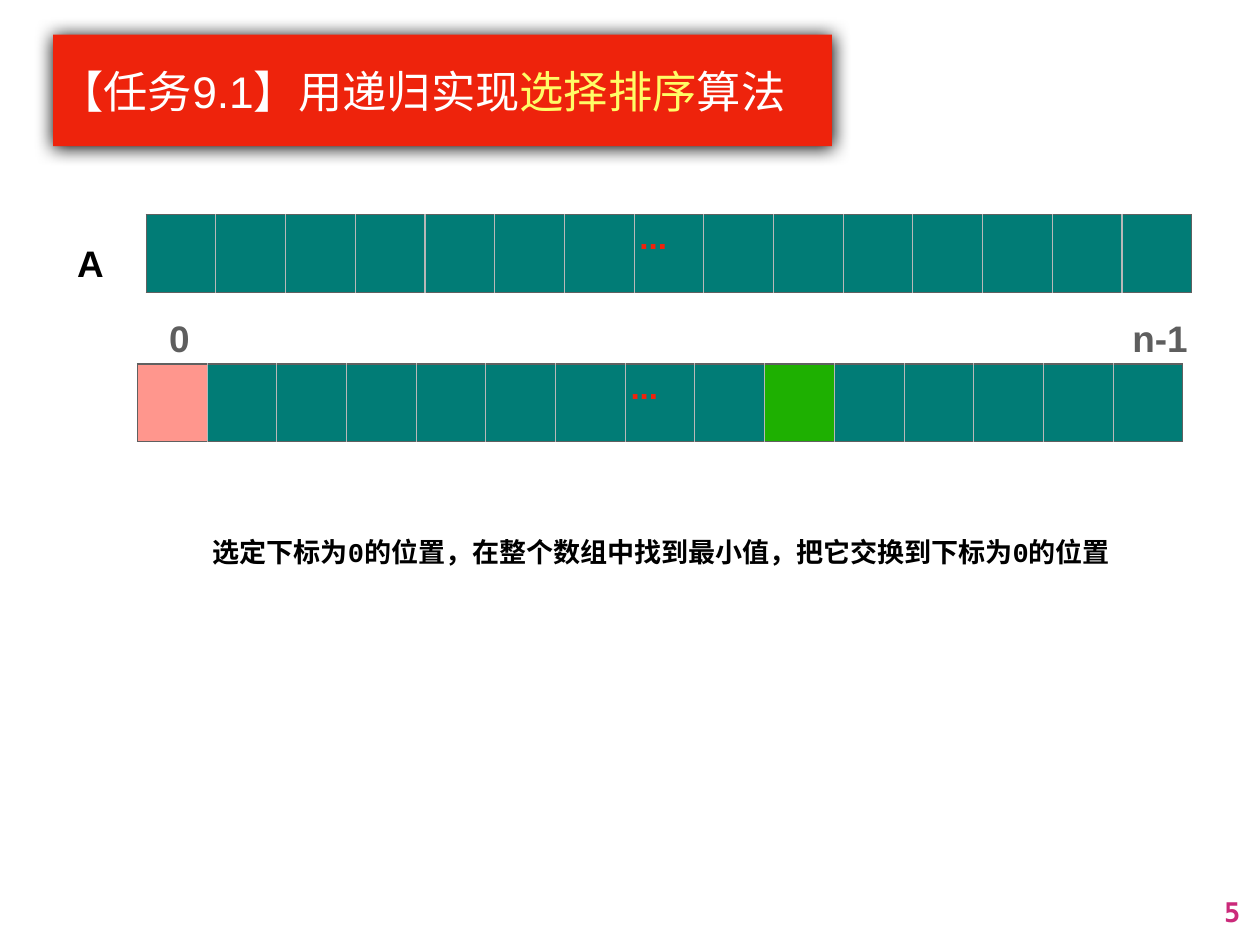
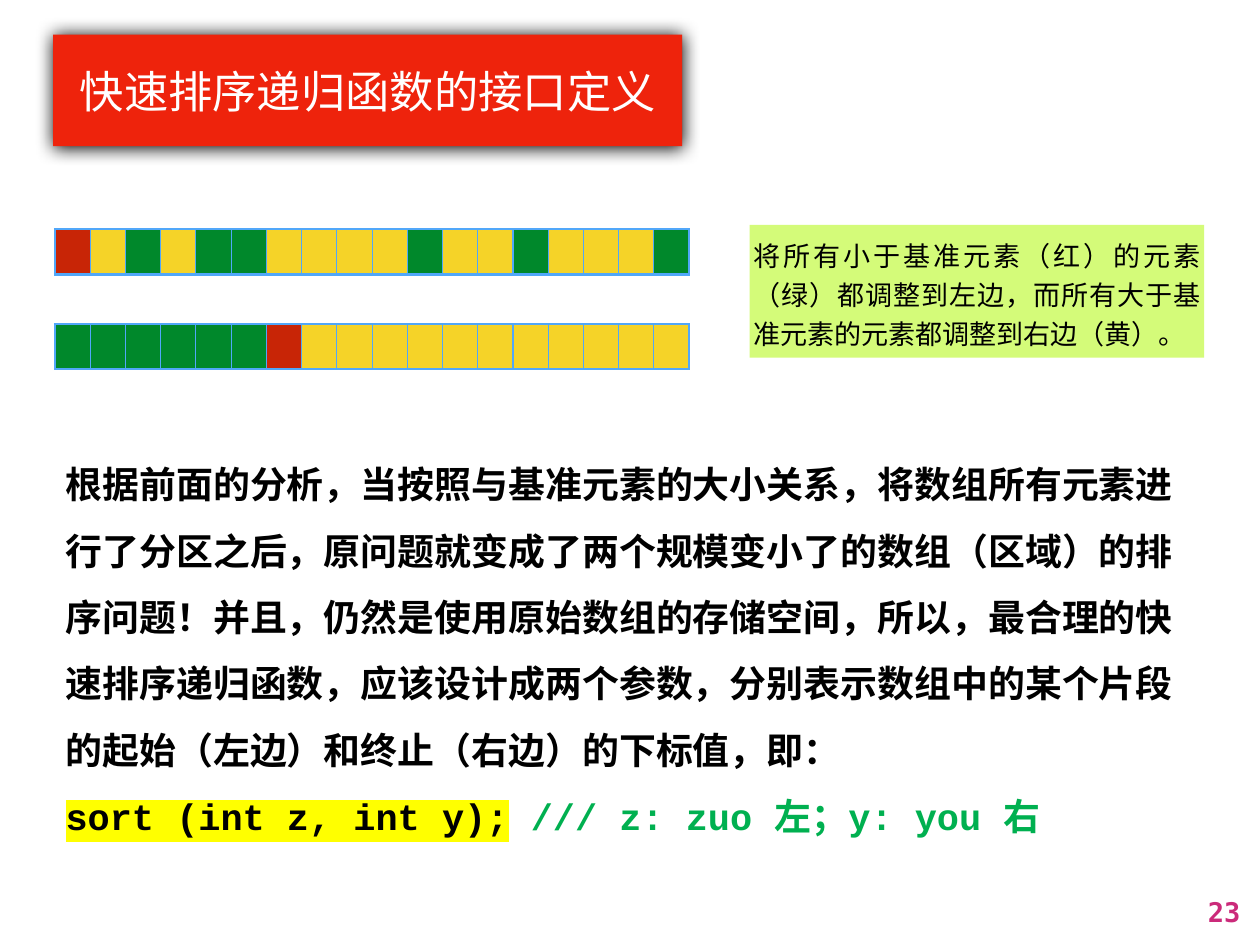
from dataclasses import dataclass

from lxml import etree
from pptx import Presentation
from pptx import util as u
from pptx.dml.color import RGBColor
from pptx.enum import lang, shapes, text
from pptx.oxml.ns import qn

PX = 9144  # EMU per px, 100 px to the inch
SLIDE_WIDTH, SLIDE_HEIGHT = 1422, 1067
LEFT, CENTER, RIGHT, JUSTIFY = (
    text.PP_ALIGN.LEFT, text.PP_ALIGN.CENTER, text.PP_ALIGN.RIGHT, text.PP_ALIGN.JUSTIFY)


@dataclass(frozen=True)
class Theme:
    # Colours
    white: str = "FFFFFF"
    black: str = "000000"
    title_band: str = "EE230C"
    title_accent: str = "FFFC66"
    page_number: str = "CB2A7A"
    index: str = "5E5E5E"
    cell: str = "017C76"
    target_cell: str = "FF968D"
    minimum_cell: str = "1EB001"
    array_inner: str = "B8B8B8"
    array_outer: str = "606060"
    pivot: str = "C82506"
    smaller: str = "00882B"
    larger: str = "F5D328"
    partition_line: str = "51A7F9"
    note_fill: str = "D4FB79"
    highlight: str = "FFFF00"
    code_comment: str = "00B050"
    # Type sizes
    title_size: int = 36
    body_size: int = 30
    dots_size: int = 27
    small_size: int = 22
    # Fonts
    sans: str = "Arial"
    code: str = "Courier New"
    note: str = "Roboto"
    number: str = "DejaVu Sans Mono"


THEME = Theme()


def emu(box):
    return [length * PX for length in box]


def color_element(parent, tag, color):
    element = etree.SubElement(parent, qn(tag))
    etree.SubElement(element, qn("a:srgbClr")).set("val", color)
    return element


# Text
def add_run(paragraph, content, font=THEME.sans, size=THEME.body_size,
            color=THEME.black, bold=True, highlight=None):
    run = paragraph.add_run()
    run.text = content
    run.font.size = u.Pt(size)
    run.font.bold = bold
    run.font.color.rgb = RGBColor.from_string(color)
    run.font.language_id = lang.MSO_LANGUAGE_ID.SIMPLIFIED_CHINESE
    properties = run.font._element
    if highlight:
        color_element(properties, "a:highlight", highlight)
    for tag in ("a:latin", "a:ea"):
        etree.SubElement(properties, qn(tag)).set("typeface", font)


def write(frame, paragraphs, align=LEFT, spacing=None, margin=6, wrap=True,
          grow=True, anchor=text.MSO_ANCHOR.MIDDLE, **format):
    """Each paragraph is a string or a list of (string, format changes)."""
    frame.word_wrap = wrap
    frame.auto_size = (text.MSO_AUTO_SIZE.SHAPE_TO_FIT_TEXT if grow
                       else text.MSO_AUTO_SIZE.NONE)
    frame.vertical_anchor = anchor
    frame.margin_left = frame.margin_right = margin * PX
    frame.margin_top = frame.margin_bottom = margin * PX
    for number, runs in enumerate(paragraphs):
        paragraph = frame.add_paragraph() if number else frame.paragraphs[0]
        paragraph.alignment = align
        if spacing:
            paragraph.line_spacing = spacing
        for content, changes in [(runs, {})] if isinstance(runs, str) else runs:
            add_run(paragraph, content, **{**format, **changes})


def add_text(slide, box, paragraphs, **format):
    shape = slide.shapes.add_textbox(*emu(box))
    write(shape.text_frame, paragraphs, **format)


def add_panel(slide, box, fill, paragraphs, **format):
    shape = slide.shapes.add_shape(shapes.MSO_SHAPE.RECTANGLE, *emu(box))
    shape.shadow.inherit = False
    shape.fill.solid()
    shape.fill.fore_color.rgb = RGBColor.from_string(fill)
    shape.line.fill.background()
    write(shape.text_frame, paragraphs, **format)
    return shape


# Parts shared by the slides
def add_title(slide, width, runs, align=LEFT):
    band = add_panel(slide, (60, 39, width, 126), THEME.title_band, [runs],
                     align=align, margin=7, grow=False, size=THEME.title_size,
                     color=THEME.white, bold=False)
    effects = band._element.spPr.find(qn("a:effectLst"))
    shadow = color_element(effects, "a:outerShdw", THEME.black)
    for name, value in (("blurRad", u.Pt(15)), ("dist", u.Pt(0.7)),
                        ("dir", 90 * 60000), ("rotWithShape", 0)):
        shadow.set(name, str(int(value)))


def add_page_number(slide, number):
    width = 16 + 18 * len(number)
    add_text(slide, (1407 - width, 1004, width, 50), [number], align=RIGHT,
             margin=7, wrap=False, anchor=text.MSO_ANCHOR.TOP,
             font=THEME.number, size=THEME.small_size, color=THEME.page_number)


# One-row table of coloured cells
def set_borders(cell, **sides):
    properties = cell._tc.get_or_add_tcPr()
    for side in "LRTB":
        color, points = sides[side]
        line = etree.SubElement(properties, qn("a:ln" + side))
        line.set("w", str(u.Pt(points)))
        fill = color_element(line, "a:solidFill", color)
        fill.tail = None


def add_cell_row(slide, box, fills, inner, edge, outer):
    """inner, edge and outer are (colour, points) for dividers, top/bottom and ends."""
    left, top, width, height = emu(box)
    table = slide.shapes.add_table(1, len(fills), left, top, width, height).table
    table.first_row = table.horz_banding = False
    last = len(fills) - 1
    for index, fill in enumerate(fills):
        table.columns[index].width = width // len(fills)
        cell = table.cell(0, index)
        set_borders(cell, L=inner if index else outer,
                    R=inner if index < last else outer, T=edge, B=edge)
        cell.fill.solid()
        cell.fill.fore_color.rgb = RGBColor.from_string(fill)
    return table


def add_array(slide, box, marked=None):
    fills = [THEME.cell] * 15
    for index, fill in (marked or {}).items():
        fills[index] = fill
    frame = (THEME.array_outer, 1)
    table = add_cell_row(slide, box, fills, (THEME.array_inner, 1), frame, frame)
    dots = table.cell(0, len(fills) // 2)
    dots.margin_left = dots.margin_right = dots.margin_top = dots.margin_bottom = 6 * PX
    add_run(dots.text_frame.paragraphs[0], "...", size=THEME.dots_size,
            color=THEME.title_band)


def add_partition(slide, box, pattern):
    colors = {"R": THEME.pivot, "G": THEME.smaller, "Y": THEME.larger}
    frame = (THEME.partition_line, 2)
    add_cell_row(slide, box, [colors[letter] for letter in pattern],
                 (THEME.partition_line, 1), frame, frame)


# Slides
def selection_sort_slide(slide):
    add_title(slide, 879, [("【任务9.1】用递归实现", {}),
                           ("选择排序", {"color": THEME.title_accent}),
                           ("算法", {})])
    add_array(slide, (165, 242, 1180, 88))
    add_array(slide, (155, 411, 1180, 88),
              {0: THEME.target_cell, 9: THEME.minimum_cell})
    for label, left, top, width, color in (
            ("A", 81, 256, 41, THEME.black),
            ("0", 185, 341, 36, THEME.index),
            ("n-1", 1272, 341, 77, THEME.index)):
        add_text(slide, (left, top, width, 61), [label], spacing=1.4,
                 wrap=False, color=color)
    add_text(slide, (234, 593, 1042, 52),
             ["选定下标为0的位置，在整个数组中找到最小值，把它交换到下标为0的位置"],
             spacing=1.2, font=THEME.code, size=THEME.small_size)
    add_page_number(slide, "5")


def quick_sort_slide(slide):
    add_title(slide, 710, "快速排序递归函数的接口定义", align=CENTER)
    for top, pattern in ((259, "RYGYGGYYYYGYYGYYYG"),
                         (366, "G" * 6 + "R" + "Y" * 11)):
        add_partition(slide, (62, top, 716, 51), pattern)
    add_panel(slide, (846, 254, 513, 150), THEME.note_fill,
              ["将所有小于基准元素（红）的元素（绿）都调整到左边，"
               "而所有大于基准元素的元素都调整到右边（黄）。"],
              align=JUSTIFY, spacing=1.2, margin=4, font=THEME.note,
              size=THEME.small_size, bold=False)
    add_text(slide, (68, 493, 1302, 457), [
        "根据前面的分析，当按照与基准元素的大小关系，将数组所有元素进行了分区之后，"
        "原问题就变成了两个规模变小了的数组（区域）的排序问题！并且，"
        "仍然是使用原始数组的存储空间，所以，最合理的快速排序递归函数，"
        "应该设计成两个参数，分别表示数组中的某个片段的起始（左边）和终止（右边）的下标值，即：",
        [("sort (int z, int y);", {"font": THEME.code, "highlight": THEME.highlight}),
         (" ", {"font": THEME.code}),
         ("/// z: zuo 左；y: you 右", {"font": THEME.code, "color": THEME.code_comment})],
    ], spacing=1.5)
    add_page_number(slide, "23")


def main():
    presentation = Presentation()
    presentation.slide_width = SLIDE_WIDTH * PX
    presentation.slide_height = SLIDE_HEIGHT * PX
    blank = presentation.slide_layouts[6]
    for build in (selection_sort_slide, quick_sort_slide):
        build(presentation.slides.add_slide(blank))
    presentation.save("out.pptx")


if __name__ == "__main__":
    main()
